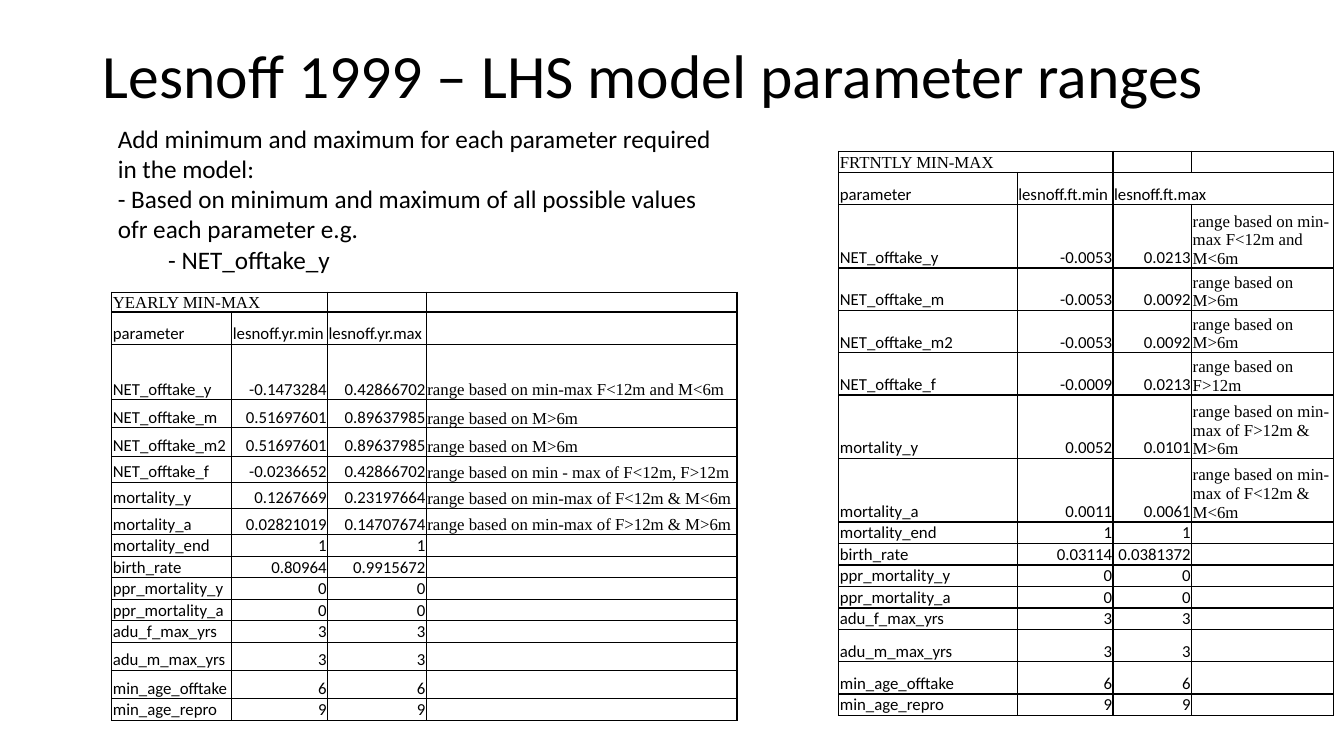
from lxml import etree
from pptx import Presentation
from pptx.dml.color import RGBColor
from pptx.enum.text import MSO_ANCHOR, PP_ALIGN
from pptx.oxml.ns import qn
from pptx.util import Inches, Pt

TOP, BOTTOM = MSO_ANCHOR.TOP, MSO_ANCHOR.BOTTOM
LEFT, RIGHT = PP_ALIGN.LEFT, PP_ALIGN.RIGHT
COLORS = {"text": "000000", "border": "000000"}
SANS, SERIF = "Calibri", "Times New Roman"
TITLE_ONLY = 5

NOTES = [
    "Add minimum and maximum for each parameter required in the model:",
    "- Based on minimum and maximum of all possible values ofr each parameter e.g.",
    "\t- NET_offtake_y",
]

# Both tables end with the same fixed parameters
FIXED_ROWS = [
    ("ppr_mortality_y", "0", "0", ""),
    ("ppr_mortality_a", "0", "0", ""),
    ("adu_f_max_yrs", "3", "3", ""),
    ("adu_m_max_yrs", "3", "3", ""),
    ("min_age_offtake", "6", "6", ""),
    ("min_age_repro", "9", "9", ""),
]
YEARLY_ROWS = [
    ("YEARLY MIN-MAX", "", "", ""),
    ("parameter", "lesnoff.yr.min", "lesnoff.yr.max", ""),
    ("NET_offtake_y", "-0.1473284", "0.42866702", "range based on min-max F<12m and M<6m"),
    ("NET_offtake_m", "0.51697601", "0.89637985", "range based on M>6m"),
    ("NET_offtake_m2", "0.51697601", "0.89637985", "range based on M>6m"),
    ("NET_offtake_f", "-0.0236652", "0.42866702", "range based on min - max of F<12m, F>12m"),
    ("mortality_y", "0.1267669", "0.23197664", "range based on min-max of F<12m & M<6m"),
    ("mortality_a", "0.02821019", "0.14707674", "range based on min-max of F>12m & M>6m"),
    ("mortality_end", "1", "1", ""),
    ("birth_rate", "0.80964", "0.9915672", ""),
] + FIXED_ROWS
FORTNIGHTLY_ROWS = [
    ("FRTNTLY MIN-MAX", "", "", ""),
    ("parameter", "lesnoff.ft.min", "lesnoff.ft.max", ""),
    ("NET_offtake_y", "-0.0053", "0.0213", "range based on min-max F<12m and M<6m"),
    ("NET_offtake_m", "-0.0053", "0.0092", "range based on M>6m"),
    ("NET_offtake_m2", "-0.0053", "0.0092", "range based on M>6m"),
    ("NET_offtake_f", "-0.0009", "0.0213", "range based on F>12m"),
    ("mortality_y", "0.0052", "0.0101", "range based on min-max of F>12m & M>6m"),
    ("mortality_a", "0.0011", "0.0061", "range based on min-max of F<12m & M<6m"),
    ("mortality_end", "1", "1", ""),
    ("birth_rate", "0.03114", "0.0381372", ""),
] + FIXED_ROWS
YEARLY_HEIGHTS = [0.19, 0.32, 0.55, 0.28, 0.28] + [0.26] * 3 + [0.21] * 5 + [0.28, 0.28, 0.21]
FORTNIGHTLY_HEIGHTS = [0.21, 0.32, 0.63] + [0.42] * 3 + [0.63] * 2 + [0.21] * 5 + [0.32, 0.32, 0.21]


def set_font(para, name, size):
    para.font.name = name
    para.font.size = Pt(size)
    para.font.color.rgb = RGBColor.from_string(COLORS["text"])


def add_borders(cell):
    properties = cell._tc.get_or_add_tcPr()
    for index, side in enumerate(("lnL", "lnR", "lnT", "lnB")):
        line = etree.Element(qn("a:" + side), w=str(Pt(1)))
        fill = etree.SubElement(line, qn("a:solidFill"))
        etree.SubElement(fill, qn("a:srgbClr"), val=COLORS["border"])
        properties.insert(index, line)


def format_cell(cell, text, font, align):
    cell.margin_left = cell.margin_right = cell.margin_top = Inches(0.01)
    cell.margin_bottom = 0
    cell.vertical_anchor = BOTTOM
    cell.fill.background()
    add_borders(cell)
    para = cell.text_frame.paragraphs[0]
    if text:
        para.text = text
    para.alignment = align
    set_font(para, font, 12)
    if not text:
        # An empty cell takes its line height from the end-of-paragraph size
        etree.SubElement(para._p, qn("a:endParaRPr"), sz="1200")


def add_title(page, box):
    title = page.shapes.title
    title.left, title.top, title.width, title.height = map(Inches, box)
    frame = title.text_frame
    frame.vertical_anchor = TOP
    frame.word_wrap = True
    para = frame.paragraphs[0]
    para.text = "Lesnoff 1999 – LHS model parameter ranges"
    para.alignment = LEFT
    para.line_spacing = 0.9
    set_font(para, SANS, 44)


def add_notes_text(page, box):
    frame = page.shapes.add_textbox(*map(Inches, box)).text_frame
    frame.word_wrap = True
    for index, text in enumerate(NOTES):
        para = frame.paragraphs[0] if index == 0 else frame.add_paragraph()
        para.text = text
        set_font(para, SANS, 18)


def add_range_table(page, left, top, widths, heights, rows, merges):
    """Place a table of parameter ranges; merges lists (row, column) cells joined to the next."""
    box = map(Inches, (left, top, sum(widths), sum(heights)))
    table = page.shapes.add_table(len(rows), len(widths), *box).table
    table.first_row = table.horz_banding = False
    for column, width in zip(table.columns, widths):
        column.width = Inches(width)
    for row_index, (row, height) in enumerate(zip(rows, heights)):
        table.rows[row_index].height = Inches(height)
        for column_index, text in enumerate(row):
            font = SERIF if row_index == 0 or column_index == 3 else SANS
            align = RIGHT if row_index > 1 and column_index in (1, 2) else LEFT
            format_cell(table.cell(row_index, column_index), text, font, align)
    for row_index, column_index in merges:
        table.cell(row_index, column_index).merge(table.cell(row_index, column_index + 1))


def main():
    deck = Presentation()
    deck.slide_width, deck.slide_height = Inches(13.33), Inches(7.5)
    page = deck.slides.add_slide(deck.slide_layouts[TITLE_ONLY])
    add_title(page, (0.92, 0.4, 11.5, 1.45))
    add_range_table(page, 1.11, 2.9, (1.19, 0.95, 0.98, 3.08),
                    YEARLY_HEIGHTS, YEARLY_ROWS, [(0, 0)])
    add_range_table(page, 8.32, 1.5, (1.77, 0.95, 0.78, 1.41),
                    FORTNIGHTLY_HEIGHTS, FORTNIGHTLY_ROWS, [(0, 0), (1, 2)])
    add_notes_text(page, (1.07, 1.17, 6.28, 1.62))
    deck.save("out.pptx")


if __name__ == "__main__":
    main()
